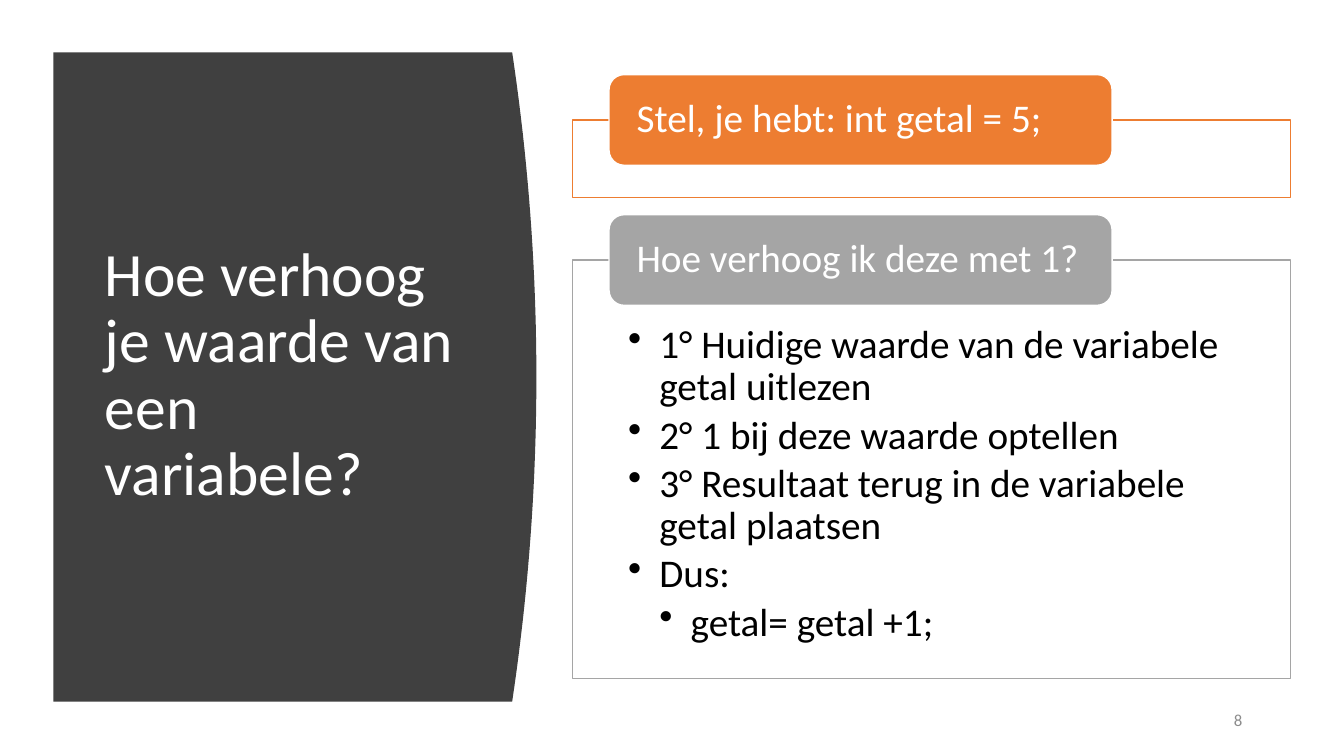
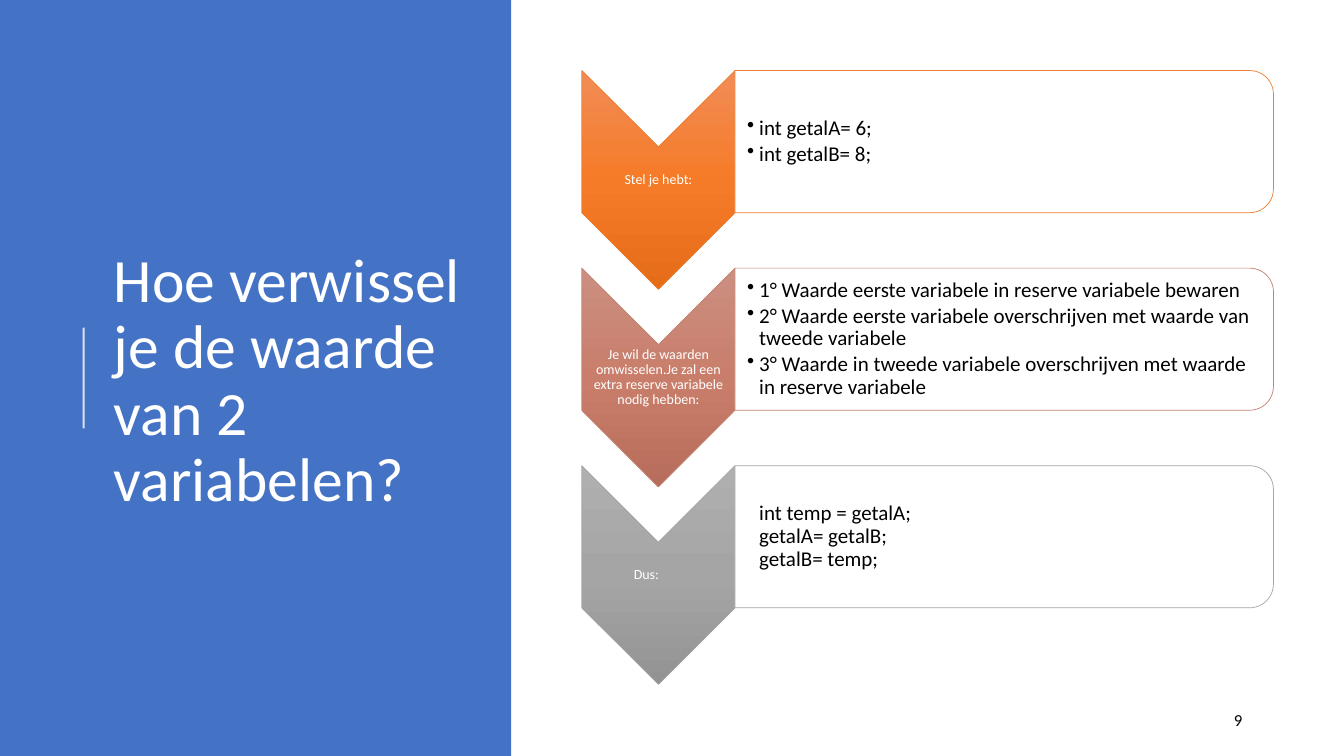
from copy import deepcopy

from lxml.etree import SubElement
from pptx import Presentation
from pptx.dml.color import RGBColor
from pptx.enum.shapes import MSO_CONNECTOR as LINK, MSO_SHAPE as SHAPE
from pptx.enum.text import MSO_ANCHOR as ANCHOR, MSO_AUTO_SIZE as FIT, PP_ALIGN as ALIGN
from pptx.oxml.ns import qn
from pptx.util import Inches, Pt

FONT = "Calibri"
WHITE, BLACK, DARK, BLUE = "FFFFFF", "000000", "404040", "4472C4"
ORANGE, RED, GRAY, PALE = "ED7D31", "C48170", "A5A5A5", "8C8C8C"


def rgb(code):
    return RGBColor.from_string(code)


def inch(*vals):
    return [Inches(v) for v in vals]


def write(frame, text, size=28, color=BLACK, align=ALIGN.LEFT, anchor=ANCHOR.MIDDLE,
          pad=(0.1, 0.05, 0.1, 0.05), hang=0, bullet=True, after=0):
    """Fill a frame with lines; a line is a string or a (string, level) pair."""
    frame.word_wrap = True
    frame.auto_size = FIT.NONE
    frame.vertical_anchor = anchor
    (frame.margin_left, frame.margin_top,
     frame.margin_right, frame.margin_bottom) = inch(*pad)
    for i, item in enumerate([text] if isinstance(text, str) else text):
        line, level = (item, 1) if isinstance(item, str) else item
        para = frame.add_paragraph() if i else frame.paragraphs[0]
        para.alignment = align
        para.line_spacing = 0.9
        para.space_after = Pt(after)
        run = para.add_run()
        run.text = line
        run.font.name, run.font.size = FONT, Pt(size)
        run.font.color.rgb = rgb(color)
        if hang:
            props = para._p.get_or_add_pPr()
            props.set("marL", str(Inches(hang * level)))
            props.set("indent", str(-Inches(hang) if bullet else 0))
            if bullet:
                SubElement(props, qn("a:buChar"), char="•")


def paint(shape, fill=None, line=None, width=1):
    shape.shadow.inherit = False
    if fill:
        shape.fill.solid()
        shape.fill.fore_color.rgb = rgb(fill)
    if line:
        shape.line.color.rgb = rgb(line)
        shape.line.width = Pt(width)
    else:
        shape.line.fill.background()
    return shape


def block(slide, kind, at, **look):
    return paint(slide.shapes.add_shape(kind, *inch(*at)), **look)


def label(slide, at, text, **fmt):
    write(slide.shapes.add_textbox(*inch(*at)).text_frame, text, **fmt)


def shade(shape, colors):
    """Give an even gradient from top to bottom, whatever the rotation."""
    fill = shape.fill
    fill.gradient()
    fill.gradient_angle = 270
    grad = shape._element.spPr.find(qn("a:gradFill"))
    grad.set("rotWithShape", "0")
    stops = grad.find(qn("a:gsLst"))
    stops.append(deepcopy(stops[0]))
    for i, (stop, color) in enumerate(zip(fill.gradient_stops, colors)):
        stop.color.rgb = rgb(color)
        stop.position = i / (len(colors) - 1)


def head(slide, at, text):
    title = slide.shapes.title
    title.left, title.top, title.width, title.height = inch(*at)
    write(title.text_frame, text, size=44, color=WHITE)
    # The title belongs in front of its panel
    slide.shapes._spTree.append(title._element)


def number(slide, text, color):
    label(slide, (11.73, 6.95, 0.69, 0.4), text, size=12, color=color, align=ALIGN.RIGHT)


def curve(slide):
    """Draw the dark panel with its bulging right side."""
    left, top, low, tip, bulge, steps = 0.53, 0.52, 6.96, 5.32, 0.24, 40
    mid, half = (top + low) / 2, (low - top) / 2
    spots = [(left, top)]
    for i in range(steps + 1):
        part = 2 * i / steps - 1
        spots.append((tip - bulge * part ** 2, mid + half * part))
    spots.append((left, low))
    points = [tuple(inch(*spot)) for spot in spots]
    form = slide.shapes.build_freeform(*points[0])
    form.add_line_segments(points[1:], close=True)
    paint(form.convert_to_shape(), fill=DARK)


def card(slide, top, high, color, text, lines=()):
    """Draw an outlined box with a label on its top edge."""
    box = block(slide, SHAPE.RECTANGLE, (5.68, top, 7.12, high), fill=WHITE, line=color)
    if lines:
        write(box.text_frame, lines, anchor=ANCHOR.TOP, pad=(0.55, 0.64, 0.55, 0.22),
              hang=0.31, after=4.2)
    tab = block(slide, SHAPE.ROUNDED_RECTANGLE, (6.04, top - 0.45, 4.99, 0.9),
                fill=color, line=WHITE)
    write(tab.text_frame, text, color=WHITE, pad=(0.23, 0, 0.23, 0))


def turned(slide, kind, at, **look):
    """Place a shape turned a quarter so that it covers the given area."""
    x, y, wide, high = at
    shift = (wide - high) / 2
    shape = block(slide, kind, (x + shift, y - shift, high, wide), **look)
    shape.rotation = 90
    return shape


def step(slide, top, color, grad, text, lines, bullet=True, right=0.01):
    arrow = turned(slide, SHAPE.CHEVRON, (5.77, top, 1.52, 2.17), line=color, width=0.5)
    shade(arrow, grad)
    label(slide, (5.77, top + 0.76, 1.52, 0.65), text, size=10, color=WHITE,
          align=ALIGN.CENTER, pad=(0.01, 0.01, right, 0.01))
    turned(slide, SHAPE.ROUND_2_SAME_RECTANGLE, (7.29, top, 5.34, 1.41),
           fill=WHITE, line=color, width=0.5)
    label(slide, (7.29, top + 0.07, 5.27, 1.27), lines, size=15, hang=0.12,
          bullet=bullet, after=2.2 if bullet else 0, pad=(0.12, 0.01, 0.01, 0.01))


def rule(slide, x, start, end):
    line = slide.shapes.add_connector(LINK.STRAIGHT, *inch(x, start, x, end))
    line.line.color.rgb = rgb(WHITE)
    line.line.width = Pt(1.5)
    props = line._element.spPr
    SubElement(next(props.iter(qn("a:srgbClr"))), qn("a:alpha"), val="80000")
    SubElement(props, qn("a:effectLst"))


def raise_value(slide):
    curve(slide)
    head(slide, (0.94, 1.11, 3.74, 5.24), "Hoe verhoog je waarde van een variabele?")
    card(slide, 1.19, 0.77, ORANGE, "Stel, je hebt: int getal = 5;")
    card(slide, 2.58, 4.15, GRAY, "Hoe verhoog ik deze met 1?", [
        "1° Huidige waarde van de variabele getal uitlezen",
        "2° 1 bij deze waarde optellen",
        "3° Resultaat terug in de variabele getal plaatsen",
        "Dus:",
        ("getal= getal +1;", 2)])
    number(slide, "8", PALE)


def swap_values(slide):
    block(slide, SHAPE.RECTANGLE, (0, 0, 5.07, 7.5), fill=BLUE)
    head(slide, (1.03, 0.78, 3.69, 6.02), "Hoe verwissel je de waarde van 2 variabelen?")
    rule(slide, 0.83, 4.25, 3.25)
    first, pitch = 0.7, 1.96
    step(slide, first, ORANGE, ("F18C57", "F67B28", "E56C19"), "Stel je hebt:",
         ["int getalA= 6;", "int getalB= 8;"])
    step(slide, first + pitch, RED, ("CB8F81", "C97E6B", "B76D5B"),
         "Je wil de waarden omwisselen.Je zal een extra reserve variabele nodig hebben:",
         ["1° Waarde eerste variabele in reserve variabele bewaren",
          "2° Waarde eerste variabele overschrijven met waarde van tweede variabele",
          "3° Waarde in tweede variabele overschrijven met waarde in reserve variabele"])
    step(slide, first + 2 * pitch, GRAY, ("AFAFAF", "A5A5A5", "939393"), "Dus:",
         ["int temp = getalA;", "getalA= getalB;", "getalB= temp;"],
         bullet=False, right=0.25)
    number(slide, "9", BLACK)


def main():
    deck = Presentation()
    deck.slide_width, deck.slide_height = inch(13.33, 7.5)
    for build in (raise_value, swap_values):
        build(deck.slides.add_slide(deck.slide_layouts[5]))
    deck.save("out.pptx")


if __name__ == "__main__":
    main()
